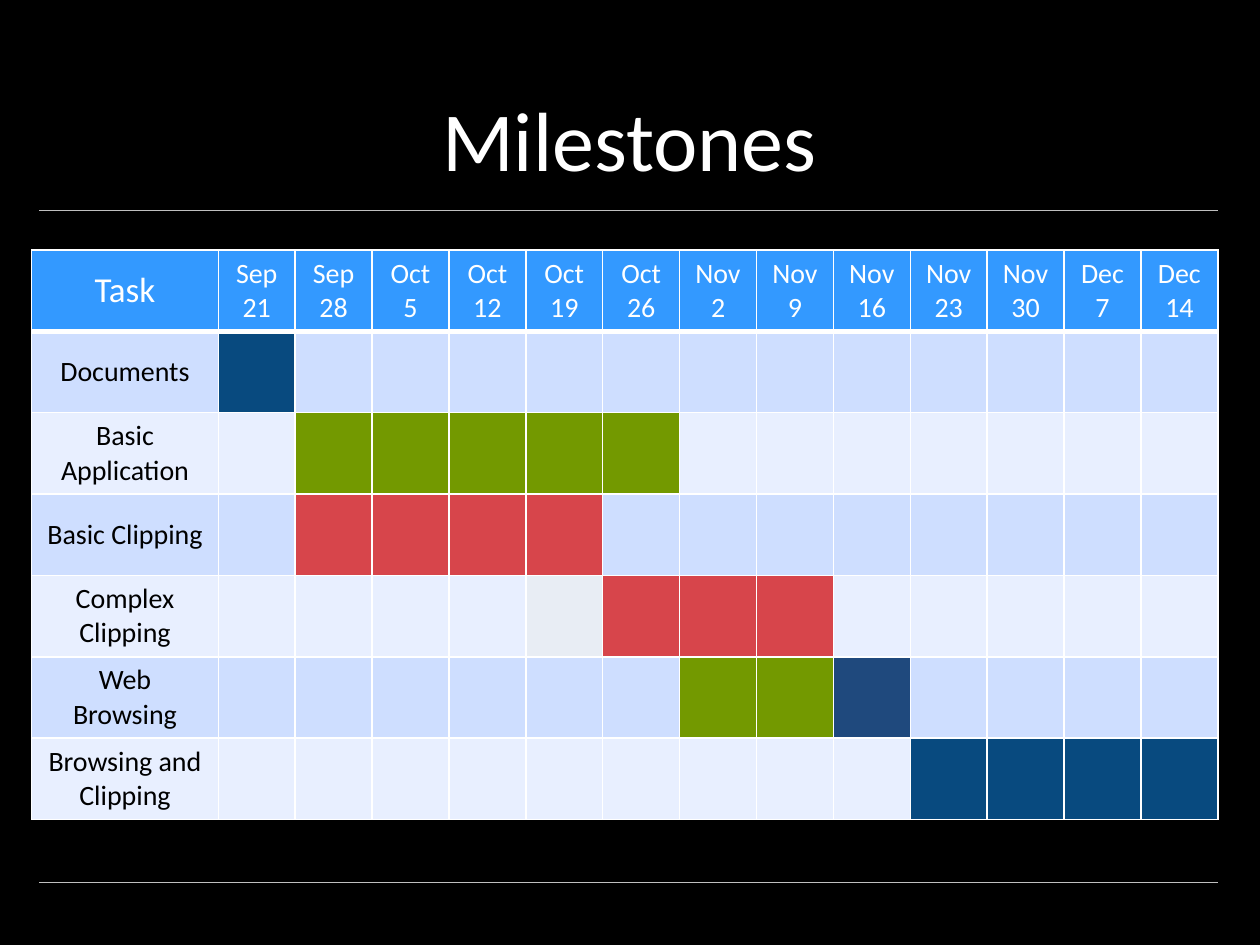
from dataclasses import dataclass

from lxml import etree
from pptx import Presentation
from pptx.dml.color import RGBColor
from pptx.enum.shapes import MSO_CONNECTOR
from pptx.enum.text import MSO_ANCHOR, PP_ALIGN
from pptx.oxml.ns import qn
from pptx.util import Cm, Pt

STRAIGHT = MSO_CONNECTOR.STRAIGHT
MIDDLE = MSO_ANCHOR.MIDDLE
BOTTOM = MSO_ANCHOR.BOTTOM
CENTER = PP_ALIGN.CENTER


@dataclass(frozen=True)
class Theme:
    font: str = "Calibri"
    background: str = "000000"
    light: str = "FFFFFF"
    dark: str = "000000"
    rule: str = "BFBFBF"
    header: str = "3399FF"
    bands: tuple = ("CEDEFF", "E8EFFF")
    navy: str = "084A7F"
    indigo: str = "1F497D"
    green: str = "739900"
    red: str = "D7454B"
    pale: str = "E8EDF4"
    title_size: float = 48
    task_size: float = 20
    cell_size: float = 16
    rule_width: float = 0.25
    border_width: float = 1
    header_border_width: float = 3


class SlideBuilder:
    def __init__(self, page, theme):
        self.page = page
        self.theme = theme
        fill = page.background.fill
        fill.solid()
        fill.fore_color.rgb = RGBColor.from_string(theme.background)

    def add_text(self, frame, text, size, color):
        para = frame.paragraphs[0]
        para.alignment = CENTER
        span = para.add_run()
        span.text = text
        span.font.name = self.theme.font
        span.font.size = Pt(size)
        span.font.bold = False
        span.font.color.rgb = RGBColor.from_string(color)

    def title(self, text, left, top, width, height):
        box = self.page.shapes.add_textbox(Cm(left), Cm(top), Cm(width), Cm(height))
        frame = box.text_frame
        frame.word_wrap = True
        frame.vertical_anchor = BOTTOM
        self.add_text(frame, text, self.theme.title_size, self.theme.light)

    def rule(self, left, right, top):
        line = self.page.shapes.add_connector(STRAIGHT, Cm(left), Cm(top), Cm(right), Cm(top))
        line.line.color.rgb = RGBColor.from_string(self.theme.rule)
        line.line.width = Pt(self.theme.rule_width)
        etree.SubElement(line._element.spPr, qn("a:effectLst"))

    def table(self, left, top, widths, heights):
        frame = self.page.shapes.add_table(
            len(heights), len(widths), Cm(left), Cm(top), Cm(sum(widths)), Cm(sum(heights))
        )
        grid = frame.table
        grid.first_row = False
        grid.horz_banding = False
        for column, width in zip(grid.columns, widths):
            column.width = Cm(width)
        for row, height in zip(grid.rows, heights):
            row.height = Cm(height)
        return grid

    def cell(self, cell, fill, bottom_width):
        properties = cell._tc.get_or_add_tcPr()
        for side in ("lnL", "lnR", "lnT", "lnB"):
            width = bottom_width if side == "lnB" else self.theme.border_width
            border = etree.SubElement(properties, qn(f"a:{side}"), w=str(Pt(width)))
            solid = etree.SubElement(border, qn("a:solidFill"))
            etree.SubElement(solid, qn("a:srgbClr"), val=self.theme.light)
        cell.vertical_anchor = MIDDLE
        cell.fill.solid()
        cell.fill.fore_color.rgb = RGBColor.from_string(fill)

    def schedule(self, left, top, widths, heights, weeks, tasks):
        theme = self.theme
        grid = self.table(left, top, widths, heights)
        for column, label in enumerate(["Task"] + weeks):
            cell = grid.cell(0, column)
            self.cell(cell, theme.header, theme.header_border_width)
            size = theme.cell_size if column else theme.task_size
            self.add_text(cell.text_frame, label, size, theme.light)
        for row, (name, spans) in enumerate(tasks, start=1):
            fills = [theme.bands[(row - 1) % 2]] * len(widths)
            for first, last, color in spans:
                start, end = weeks.index(first) + 1, weeks.index(last) + 2
                fills[start:end] = [color] * (end - start)
            for column, fill in enumerate(fills):
                self.cell(grid.cell(row, column), fill, theme.border_width)
            self.add_text(grid.cell(row, 0).text_frame, name, theme.cell_size, theme.dark)


theme = Theme()
deck = Presentation()
deck.slide_width = Cm(25.4)
deck.slide_height = Cm(19.05)
slide = SlideBuilder(deck.slides.add_slide(deck.slide_layouts[6]), theme)

for rule_top in (4.24, 17.78):
    slide.rule(0.79, 24.56, rule_top)
slide.title("Milestones", 1.78, 0.3, 21.82, 3.63)

weeks = [
    "Sep 21", "Sep 28", "Oct 5", "Oct 12", "Oct 19", "Oct 26", "Nov 2",
    "Nov 9", "Nov 16", "Nov 23", "Nov 30", "Dec 7", "Dec 14",
]
tasks = [
    ("Documents", [("Sep 21", "Sep 21", theme.navy)]),
    ("Basic Application", [("Sep 28", "Oct 26", theme.green)]),
    ("Basic Clipping", [("Sep 28", "Oct 19", theme.red)]),
    ("Complex Clipping", [("Oct 19", "Oct 19", theme.pale), ("Oct 26", "Nov 9", theme.red)]),
    ("Web Browsing", [("Nov 2", "Nov 9", theme.green), ("Nov 16", "Nov 16", theme.indigo)]),
    ("Browsing and Clipping", [("Nov 23", "Dec 14", theme.navy)]),
]
slide.schedule(
    0.64, 5.04, [3.76] + [1.55] * len(weeks), [1.64] * (len(tasks) + 1), weeks, tasks
)

deck.save("out.pptx")
